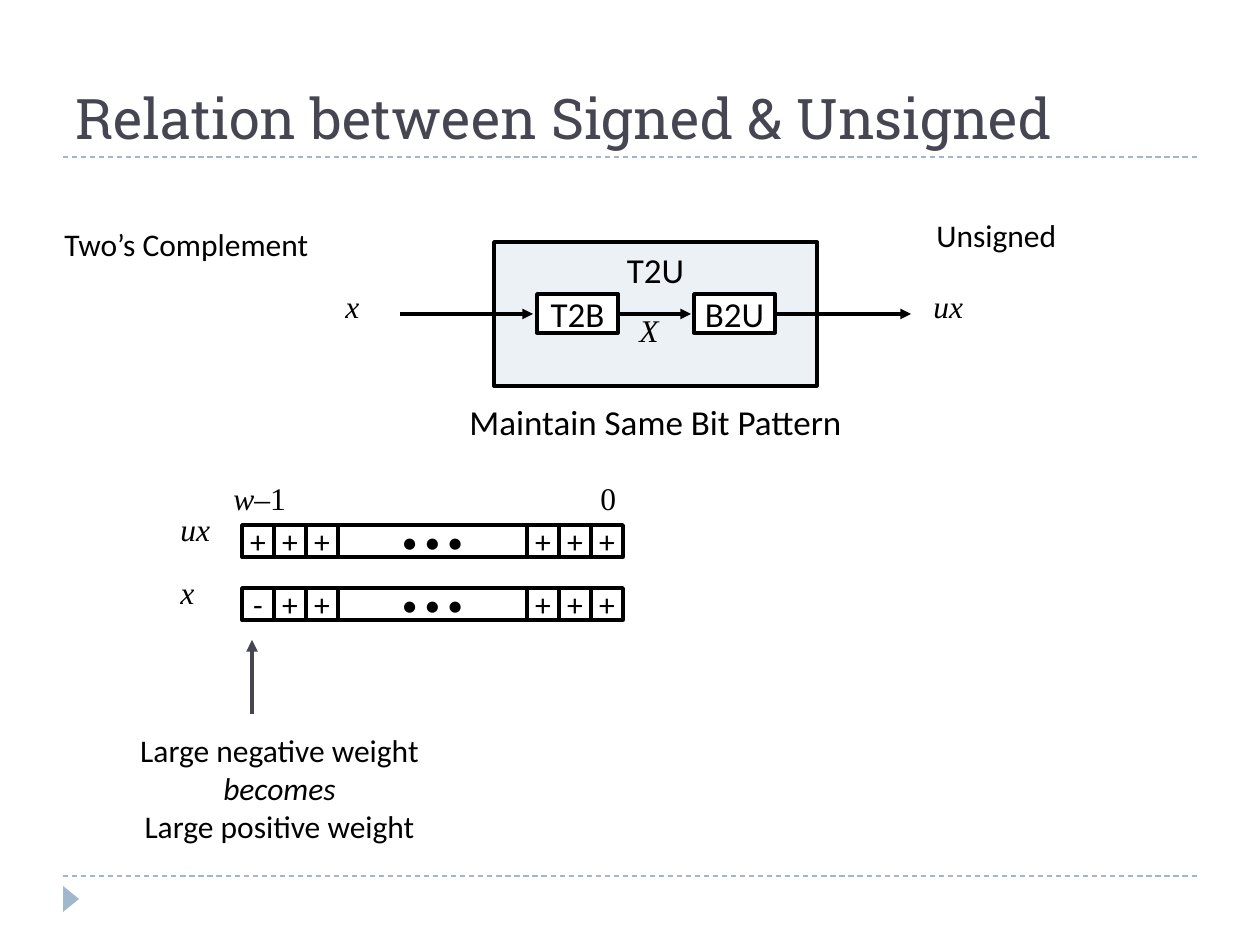
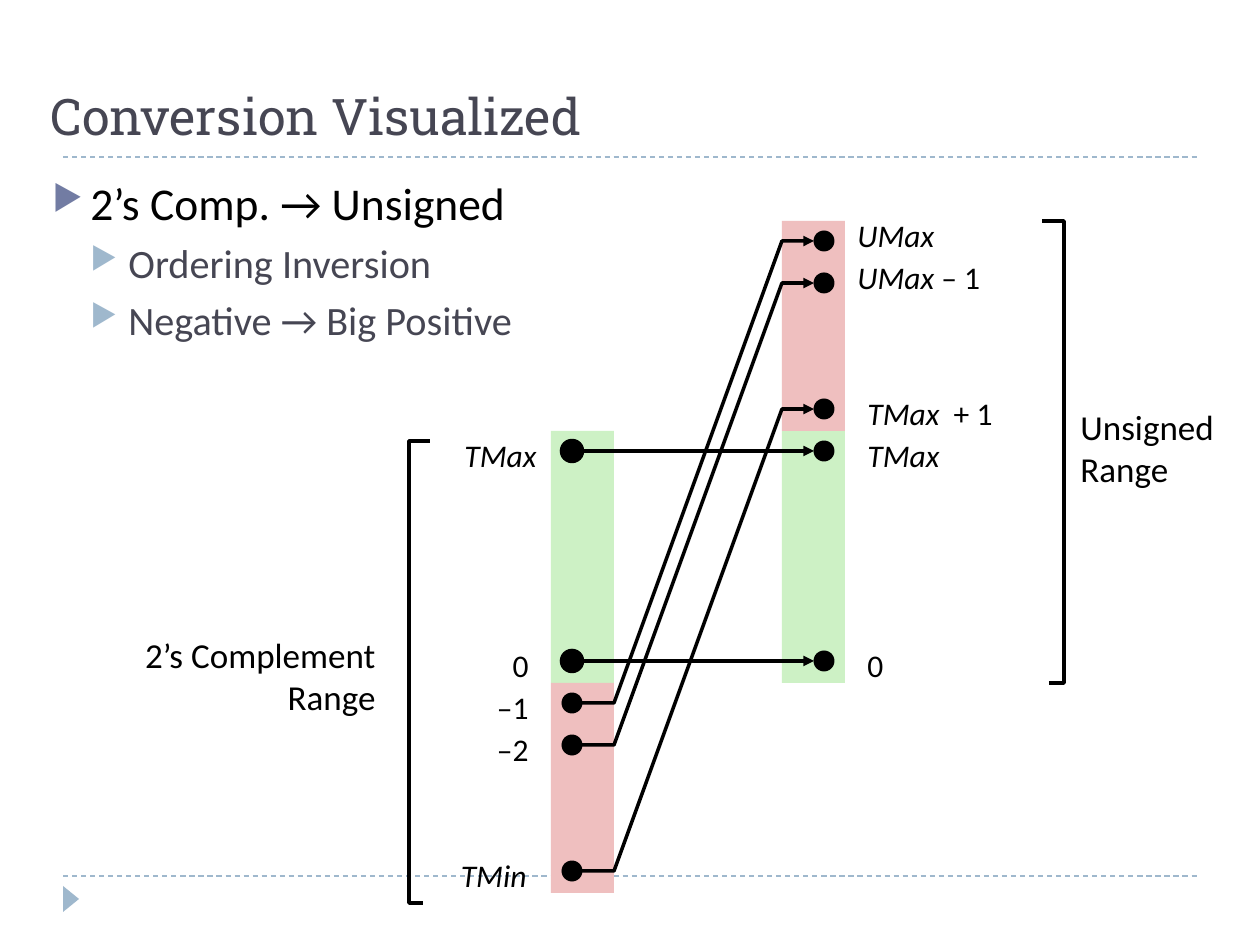
from dataclasses import dataclass
from pptx import Presentation
from pptx.dml.color import RGBColor as RGB
from pptx.enum.dml import MSO_LINE as DASH
from pptx.enum.shapes import MSO_CONNECTOR as CONN, MSO_SHAPE as SHAPE
from pptx.enum.text import MSO_ANCHOR as ANCHOR, MSO_AUTO_SIZE as FIT, PP_ALIGN as AL
from pptx.oxml.ns import qn
from pptx.util import Pt
from lxml.etree import SubElement

PX = 914400 / 126


@dataclass(frozen=True)
class Theme:
    ink: str = "000000"
    paper: str = "FFFFFF"
    dark: str = "464653"
    pale: str = "9FB8CD"
    bullet: str = "727CA3"
    panel: str = "ECF1F5"
    green: str = "CDF1C5"
    red: str = "EFBFBF"
    sans: str = "Calibri"
    serif: str = "Times New Roman"
    slab: str = "Roboto Slab"
    stroke: float = 2


T = Theme()
STYLES = {
    "text": (T.ink, dict(name=T.sans, size=Pt(18))),
    "em": (T.ink, dict(name=T.sans, size=Pt(18), italic=True)),
    "large": (T.ink, dict(name=T.sans, size=Pt(20))),
    "math": (T.ink, dict(name=T.serif, size=Pt(18), italic=True)),
    "digit": (T.ink, dict(name=T.serif, size=Pt(18))),
    "title": (T.dark, dict(name=T.slab, size=Pt(32))),
    "title2": (T.dark, dict(name=T.slab, size=Pt(28.8))),
    "body": (T.ink, dict(name=T.sans, size=Pt(26))),
    "sub": (T.dark, dict(name=T.sans, size=Pt(23))),
}


def box(s, rect, paras=(), kind=None, fill=None, edge=None, align=AL.LEFT,
        anchor=ANCHOR.TOP, wrap=False):
    rect = [round(v * PX) for v in rect]
    if kind is None:
        sp = s.shapes.add_textbox(*rect)
    else:
        sp = s.shapes.add_shape(kind, *rect)
        sp.shadow.inherit = False
        sp.fill.solid()
        sp.fill.fore_color.rgb = RGB.from_string(fill)
        if edge:
            sp.line.color.rgb = RGB.from_string(edge)
            sp.line.width = Pt(T.stroke)
        else:
            sp.line.fill.background()
    tf = sp.text_frame
    fit = FIT.NONE if kind or wrap else FIT.SHAPE_TO_FIT_TEXT
    for key, value in dict(word_wrap=wrap, auto_size=fit, vertical_anchor=anchor).items():
        setattr(tf, key, value)
    for i, runs in enumerate(paras):
        p = tf.add_paragraph() if i else tf.paragraphs[0]
        p.alignment = align
        for words, style in runs:
            r = p.add_run()
            r.text = words
            color, fmt = STYLES[style]
            for key, value in fmt.items():
                setattr(r.font, key, value)
            r.font.color.rgb = RGB.from_string(color)
    return sp


def line(s, points, color=T.ink, width=T.stroke, arrow=False):
    points = [(round(x * PX), round(y * PX)) for x, y in points]
    if len(points) == 2:
        sp = s.shapes.add_connector(CONN.STRAIGHT, *points[0], *points[1])
    else:
        outline = s.shapes.build_freeform(*points[0])
        outline.add_line_segments(points[1:], close=False)
        sp = outline.convert_to_shape()
        sp.fill.background()
    sp.line.color.rgb = RGB.from_string(color)
    sp.line.width = Pt(width)
    if arrow:
        SubElement(sp.line._get_or_add_ln(), qn("a:tailEnd"), type="triangle")
    SubElement(sp._element.spPr, qn("a:effectLst"))
    return sp


prs = Presentation()
prs.slide_width, prs.slide_height = round(1260 * PX), round(945 * PX)

slides = []
for title, style, rect in [
    ("Relation between Signed & Unsigned", "title", (63, 21, 1134, 136)),
    ("Conversion Visualized", "title2", (38, 73, 1095, 79)),
]:
    s = prs.slides.add_slide(prs.slide_layouts[6])
    for y in (876, 157):
        line(s, [(63, y), (1197, y)], T.pale, 0.75).line.dash_style = DASH.DASH
    box(s, (58, 891, 26, 16), kind=SHAPE.ISOSCELES_TRIANGLE, fill=T.pale).rotation = 90
    box(s, rect, [[(title, style)]], anchor=ANCHOR.BOTTOM, wrap=True)
    slides.append(s)
relation, conversion = slides

s = relation
CELL = 32
for y, sign in [(525, "+"), (588, "-")]:
    x = 242
    for words, w in [(sign, 1), ("+", 1), ("+", 1), ("•\u00a0•\u00a0•", 6),
                     ("+", 1), ("+", 1), ("+", 1)]:
        width = round(w * CELL * 63 / 64)
        box(s, (x, y, width, CELL), [[(words, "text")]], SHAPE.RECTANGLE,
            T.paper, T.ink, AL.CENTER, ANCHOR.MIDDLE)
        x += width

box(s, (494, 242, 323, 144), [[("T2U", "large")]], SHAPE.RECTANGLE,
    T.panel, T.ink, AL.CENTER)
for x, words in [(537, "T2B"), (694, "B2U")]:
    box(s, (x, 294, 81, 39), [[(words, "large")]], SHAPE.RECTANGLE,
        T.paper, T.ink, AL.CENTER, ANCHOR.MIDDLE)
for x1, x2 in [(400, 533), (777, 911), (620, 691)]:
    line(s, [(x1, 314), (x2, 314)], arrow=True)
line(s, [(252, 714), (252, 640)], T.dark, 2.25, True)

for rect, runs in [
    ((168, 504, 55, 50), [("ux", "math")]),
    ((168, 567, 39, 50), [("x", "math")]),
    ((221, 473, 78, 50), [("w", "math"), ("–1", "digit")]),
    ((588, 473, 42, 50), [("0", "digit")]),
    ((52, 219, 362, 63), [("Two’s Complement", "text")]),
    ((924, 210, 190, 63), [("Unsigned", "text")]),
    ((457, 394, 402, 54), [("Maintain Same Bit Pattern", "large")]),
    ((333, 281, 44, 63), [("x", "math")]),
    ((921, 281, 66, 63), [("ux", "math")]),
    ((627, 305, 50, 63), [("X", "math")]),
]:
    box(s, rect, [runs])
box(s, (81, 725, 397, 165),
    [[("Large negative weight", "text")], [("becomes", "em")],
     [("Large positive weight", "text")]], align=AL.CENTER)

s = conversion
TOP, STEP, DOT = 241, 42, 21
LEFT_X, RIGHT_X = 572, 824
for x, y, h, color in [(782, 431, 252, T.green), (551, 431, 252, T.green),
                       (551, 683, 210, T.red), (782, 221, 210, T.red)]:
    box(s, (x, y, 63, h), kind=SHAPE.RECTANGLE, fill=color)

for left, right in [(5, 5), (10, 10), (11, 0), (12, 1), (15, 4)]:
    y1, y2 = TOP + STEP * left, TOP + STEP * right
    for x, y, edge in [(LEFT_X, y1, T.ink if left == right else None), (RIGHT_X, y2, None)]:
        box(s, (x - DOT / 2, y - DOT / 2, DOT, DOT), kind=SHAPE.OVAL, fill=T.ink, edge=edge)
    bends = [] if left == right else [(614, y1), (782, y2)]
    line(s, [(582, y1), *bends, (814, y2)], arrow=True)

for row, x, w, runs in [
    (5, 427, 122, [("TMax", "em")]),
    (10, 436, 105, [("0", "text")]),
    (11, 436, 105, [("–1", "text")]),
    (12, 436, 105, [("–2", "text")]),
    (15, 426, 113, [("TMin", "em")]),
]:
    box(s, (x, TOP + STEP * row - 21, w, 64), [runs], align=AL.RIGHT)
for row, x, w, rise, runs in [
    (0, 845, 158, 31, [("UMax", "em")]),
    (1, 845, 199, 31, [("UMax", "em"), (" – 1", "text")]),
    (4, 855, 194, 21, [("TMax ", "em"), (" + 1", "text")]),
    (5, 855, 122, 21, [("TMax", "em")]),
    (10, 855, 105, 21, [("0", "text")]),
]:
    box(s, (x, TOP + STEP * row - rise, w, 64), [runs])

line(s, [(423, 903), (409, 903), (409, 441), (430, 441)])
line(s, [(1049, 683), (1064, 683), (1064, 221), (1042, 221)])
box(s, (95, 627, 293, 97), [[("2’s Complement Range", "large")]], align=AL.RIGHT, wrap=True)
box(s, (1068, 399, 160, 97), [[("Unsigned", "large")], [("Range", "large")]])

body = box(s, (40, 169, 573, 237),
           [[("2’s Comp. → Unsigned", "body")], [("Ordering Inversion", "sub")],
            [("Negative → Big Positive", "sub")]], wrap=True)
INDENT = round(38 * PX)
for p, level, before, color in zip(body.text_frame.paragraphs, (0, 1, 1), (6, 5, 5),
                                   (T.bullet, T.pale, T.pale)):
    for key, value in dict(level=level, space_before=Pt(before)).items():
        setattr(p, key, value)
    pPr = p._p.get_or_add_pPr()
    pPr.set("marL", str(INDENT * (level + 1)))
    pPr.set("indent", str(-INDENT))
    SubElement(SubElement(pPr, qn("a:buClr")), qn("a:srgbClr"), val=color)
    SubElement(pPr, qn("a:buSzPct"), val="76000")
    SubElement(pPr, qn("a:buChar"), char="▶")

prs.save("out.pptx")
